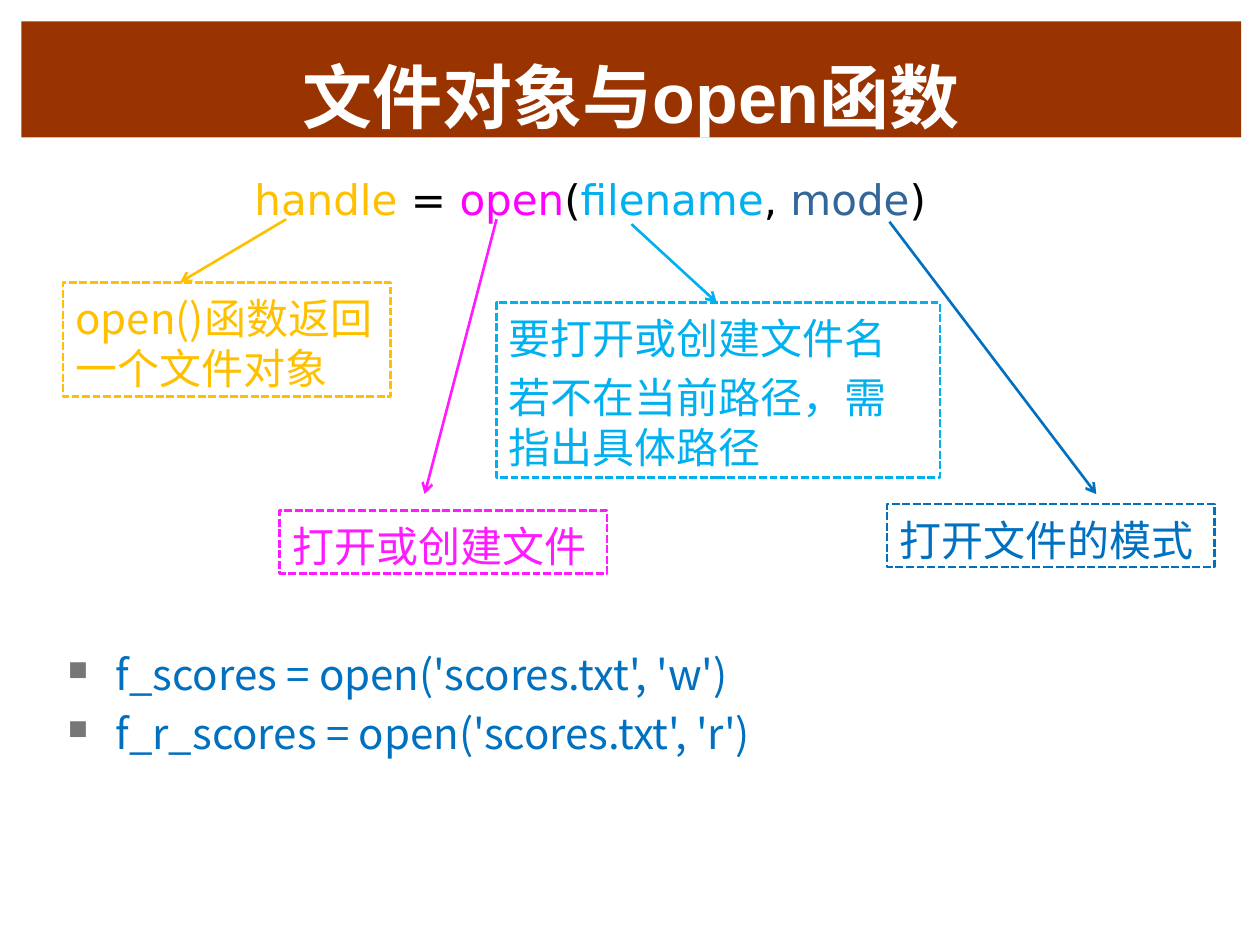
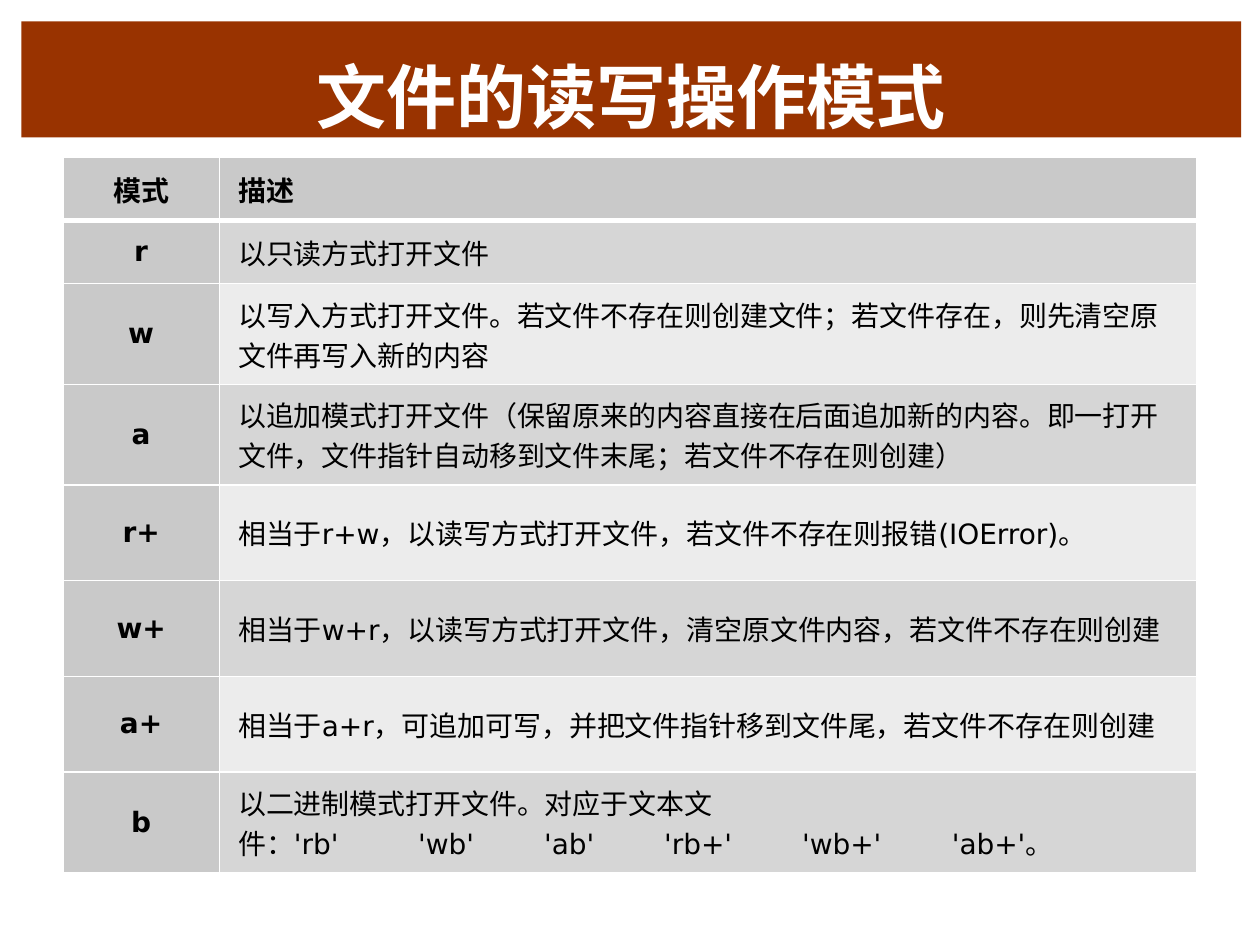
"""Build two slides on opening files in Python: the open function and its modes."""
import lxml.etree
import pptx
import pptx.dml.color
import pptx.enum.dml
import pptx.enum.shapes
import pptx.enum.text
import pptx.oxml.ns
import pptx.util

Cm = pptx.util.Cm
Pt = pptx.util.Pt
ALIGN = pptx.enum.text.PP_ALIGN
ANCHOR = pptx.enum.text.MSO_ANCHOR
CJK_FONT = "Noto Sans CJK JP"
CODE_FONT = "DejaVu Sans"
COLORS = {
    "band": "993300", "white": "FFFFFF", "black": "000000",
    "handle": "FFC000", "open": "FF1AFF", "open_code": "FF00FF",
    "filename": "00B0F0", "mode": "0070C0", "mode_code": "336699",
    "bullet": "777777", "header": "C9C9C9", "odd": "D6D6D6", "even": "ECECEC",
}
RGB = {name: pptx.dml.color.RGBColor.from_string(value) for name, value in COLORS.items()}


def add_element(parent, tag, **attributes):
    """Append a drawing element to a parent."""
    return lxml.etree.SubElement(parent, pptx.oxml.ns.qn(tag), attributes)


def set_font(paragraph, name, size, color, bold=False):
    """Format a whole paragraph, Latin and East Asian letters alike."""
    font = paragraph.font
    font.name, font.size, font.bold = name, Pt(size), bold
    font.color.rgb = RGB[color]
    add_element(font._element, "a:ea", typeface=CJK_FONT)


presentation = pptx.Presentation()
presentation.slide_width, presentation.slide_height = Cm(25.4), Cm(19.05)

slides = []
for heading in ("文件对象与open函数", "文件的读写操作模式"):
    slide = presentation.slides.add_slide(presentation.slide_layouts[5])
    title = slide.shapes.title
    title.left, title.top, title.width, title.height = Cm(0.43), Cm(0.43), Cm(24.59), Cm(2.34)
    title.fill.solid()
    title.fill.fore_color.rgb = RGB["band"]
    frame = title.text_frame
    frame.text = heading
    frame.auto_size = pptx.enum.text.MSO_AUTO_SIZE.NONE
    frame.vertical_anchor = ANCHOR.BOTTOM
    frame.margin_bottom = 0
    frame.paragraphs[0].alignment = ALIGN.CENTER
    set_font(frame.paragraphs[0], "Arial", 40, "white", True)
    slides.append(slide)
open_slide, modes_slide = slides

formula = open_slide.shapes.add_textbox(Cm(4.88), Cm(3.38), Cm(15.9), Cm(1.27))
formula.text_frame.word_wrap = True
paragraph = formula.text_frame.paragraphs[0]
for text, color in (
    ("handle", "handle"), (" = ", "black"), ("open", "open_code"), ("(", "black"),
    ("filename", "filename"), (", ", "black"), ("mode", "mode_code"), (")", "black"),
):
    run = paragraph.add_run()
    run.text = text
    run.font.color.rgb = RGB[color]
set_font(paragraph, CODE_FONT, 24, "black")

examples = open_slide.shapes.add_textbox(Cm(1.12), Cm(12.88), Cm(22.91), Cm(2.51))
examples.text_frame.text = "f_scores = open('scores.txt', 'w')\nf_r_scores = open('scores.txt', 'r')"
for paragraph in examples.text_frame.paragraphs:
    properties = paragraph._p.get_or_add_pPr()
    properties.set("marL", str(Cm(0.96)))
    properties.set("indent", str(-Cm(0.96)))
    add_element(add_element(properties, "a:buClr"), "a:srgbClr", val=COLORS["bullet"])
    add_element(properties, "a:buSzPct", val="65000")
    add_element(properties, "a:buChar", char="■")

note_frames = [(examples.text_frame, "mode")]
for color, text, box, start, end in (
    ("open", "打开或创建文件", (5.64, 10.29, 6.6, 1.27), (10.01, 4.42), (8.56, 9.96)),
    ("filename", "要打开或创建文件名\n若不在当前路径，需指出具体路径",
     (10.01, 6.1, 8.94, 3.53), (12.73, 4.52), (14.45, 6.1)),
    ("handle", "open()函数返回一个文件对象", (1.27, 5.69, 6.6, 2.31), (5.77, 4.42), (3.63, 5.69)),
    ("mode", "打开文件的模式", (17.88, 10.16, 6.6, 1.27), (17.93, 4.47), (22.1, 9.96)),
):
    note = open_slide.shapes.add_shape(
        pptx.enum.shapes.MSO_SHAPE.RECTANGLE, *(Cm(length) for length in box))
    note.shadow.inherit = False
    note.fill.background()
    note.line.dash_style = pptx.enum.dml.MSO_LINE.SQUARE_DOT
    note.text_frame.text = text
    note_frames.append((note.text_frame, color))

    arrow = open_slide.shapes.add_connector(
        pptx.enum.shapes.MSO_CONNECTOR.STRAIGHT, *(Cm(length) for length in start + end))
    for line in (note.line, arrow.line):
        line.color.rgb = RGB[color]
        line.width = Pt(1.5)
    add_element(arrow.line._get_or_add_ln(), "a:tailEnd", type="arrow")
    add_element(arrow._element.spPr, "a:effectLst")

for frame, color in note_frames:
    frame.word_wrap = True
    frame.vertical_anchor = ANCHOR.TOP
    frame.margin_top = Cm(0.21)
    for number, paragraph in enumerate(frame.paragraphs):
        paragraph.alignment = ALIGN.LEFT
        paragraph.line_spacing = Pt(28.6)
        if number:
            paragraph.space_before = Pt(4.8)
        set_font(paragraph, CJK_FONT, 24, color)

MODES = (
    ("模式", "描述"),
    ("r", "以只读方式打开文件"),
    ("w", "以写入方式打开文件。若文件不存在则创建文件；若文件存在，则先清空原文件再写入新的内容"),
    ("a", "以追加模式打开文件（保留原来的内容直接在后面追加新的内容。"
          "即一打开文件，文件指针自动移到文件末尾；若文件不存在则创建）"),
    ("r+", "相当于r+w，以读写方式打开文件，若文件不存在则报错(IOError)。"),
    ("w+", "相当于w+r，以读写方式打开文件，清空原文件内容，若文件不存在则创建"),
    ("a+", "相当于a+r，可追加可写，并把文件指针移到文件尾，若文件不存在则创建"),
    ("b", "以二进制模式打开文件。对应于文本文\v件：'rb'\t'wb'\t'ab'\t'rb+'\t'wb+'\t'ab+'。"),
)
TAB_STOPS = (3.63, 6.17, 8.59, 11.37, 14.39)

table = modes_slide.shapes.add_table(
    len(MODES), 2, Cm(1.27), Cm(3.18), Cm(22.86), Cm(14.12)).table
table.horz_banding = False
table.columns[0].width, table.columns[1].width = Cm(3.15), Cm(19.71)
for row_number, texts in enumerate(MODES):
    table.rows[row_number].height = Cm(1.27 if row_number < 2 else 1.93)
    for column_number, text in enumerate(texts):
        cell = table.cell(row_number, column_number)
        cell.text = text
        cell.vertical_anchor = ANCHOR.MIDDLE
        cell.margin_left = cell.margin_right = Cm(0.38)
        cell.margin_top = cell.margin_bottom = Cm(0.2)
        is_heading = row_number == 0 or column_number == 0
        cell_properties = cell._tc.get_or_add_tcPr()
        for side in "LRTB":
            thick = (row_number, side) in ((0, "B"), (1, "T"))
            border = add_element(cell_properties, f"a:ln{side}", w=str(Pt(3 if thick else 1)))
            add_element(add_element(border, "a:solidFill"), "a:srgbClr", val=COLORS["white"])
        cell.fill.solid()
        cell.fill.fore_color.rgb = RGB["header" if is_heading else "odd" if row_number % 2 else "even"]
        paragraph = cell.text_frame.paragraphs[0]
        paragraph.alignment = ALIGN.LEFT if column_number else ALIGN.CENTER
        if "\t" in text:
            tab_list = add_element(paragraph._p.get_or_add_pPr(), "a:tabLst")
            for stop in TAB_STOPS:
                add_element(tab_list, "a:tab", pos=str(Cm(stop)), algn="l")
        set_font(paragraph, CODE_FONT, 16, "black", is_heading)

presentation.save("out.pptx")
